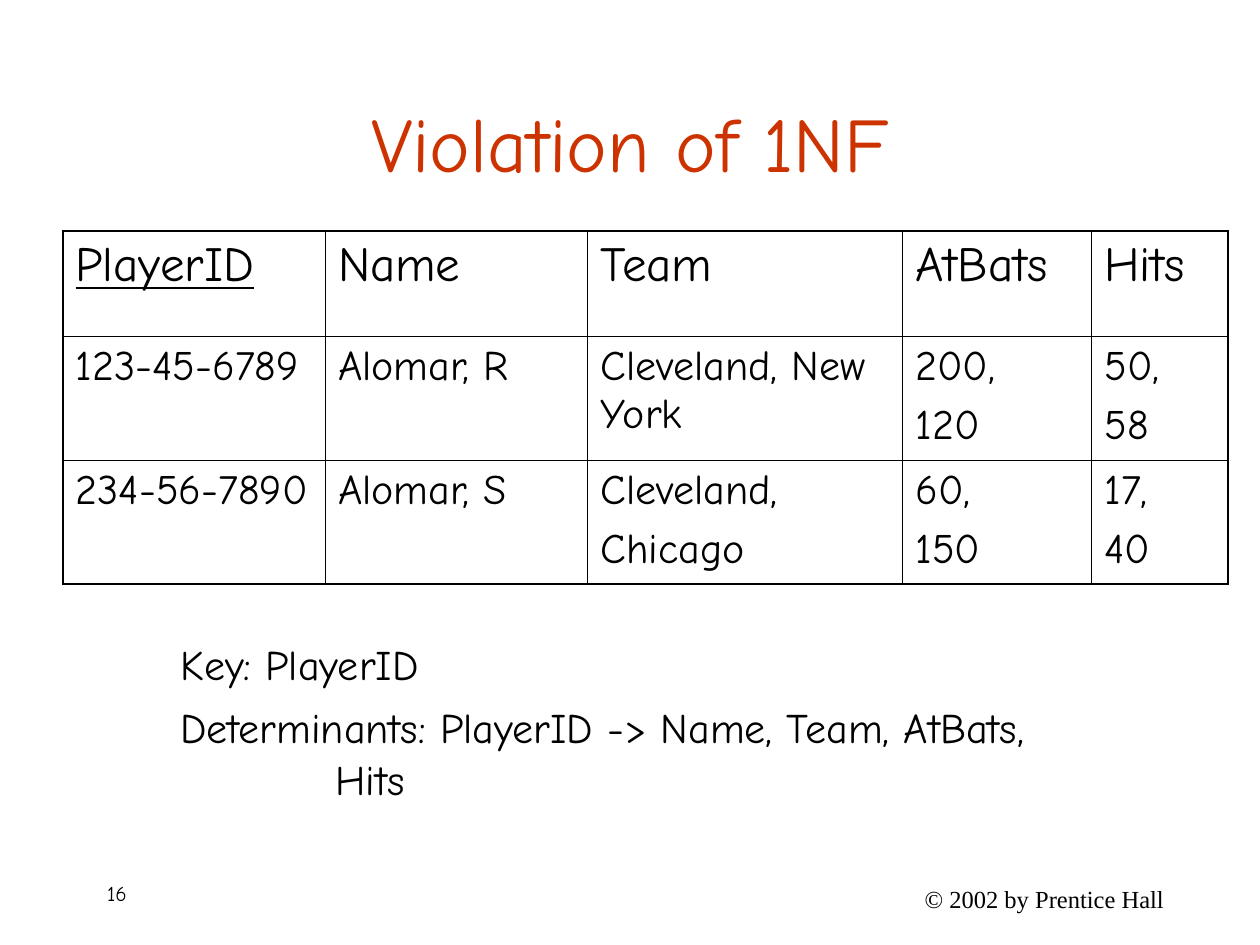
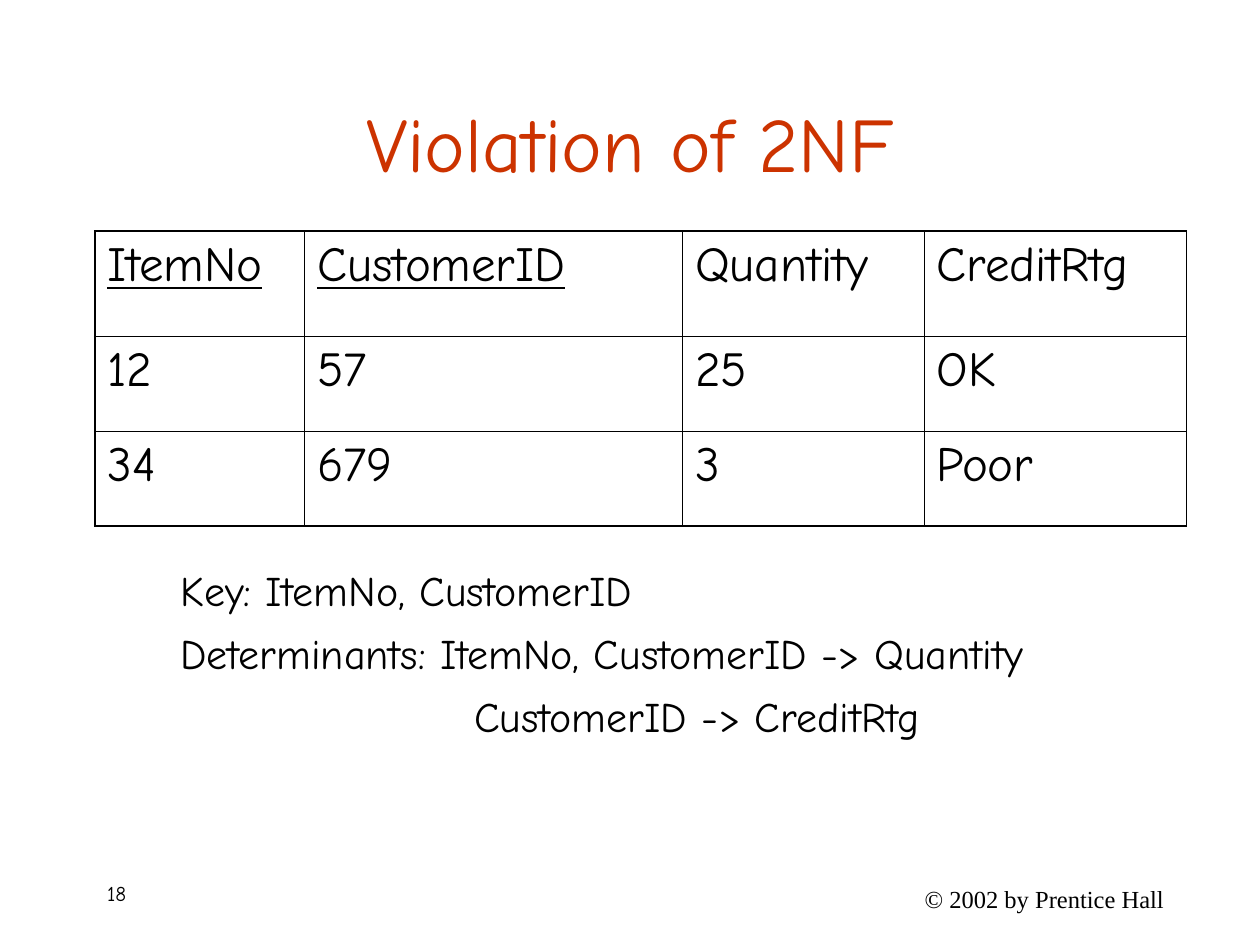
from lxml.etree import SubElement
from pptx import Presentation
from pptx.dml.color import RGBColor
from pptx.enum.text import MSO_ANCHOR as Anchor, PP_ALIGN as Align
from pptx.oxml import parse_xml
from pptx.oxml.ns import nsdecls, qn
from pptx.util import Cm, Pt

BLACK = RGBColor(0x00, 0x00, 0x00)
RED = RGBColor(0xCC, 0x33, 0x00)
BODY_FONT = "Comic Neue"
FOOTER_FONT = "Times New Roman"
OUTER_LINE, INNER_LINE = Pt(1.08), Pt(0.45)
HEADER_SIZE = 28


def write(frame, lines, size=24, font=BODY_FONT, color=BLACK, align=Align.LEFT,
          underline=False, spacing=None, indents=()):
    """Fill a frame with one paragraph per line; indents holds (left, first line) in cm."""
    frame.word_wrap = True
    frame.margin_left = frame.margin_right = Cm(0.25)
    frame.margin_top = frame.margin_bottom = Cm(0.13)
    for index, line in enumerate(lines):
        paragraph = frame.paragraphs[0] if index == 0 else frame.add_paragraph()
        paragraph.text = line
        paragraph.alignment = align
        paragraph.space_before = Pt(6 if index else 0)
        if spacing:
            paragraph.line_spacing = spacing
        if indents:
            left, first = indents[index]
            properties = paragraph._p.get_or_add_pPr()
            properties.set("marL", str(Cm(left)))
            properties.set("indent", str(Cm(first)))
        for run in paragraph.runs:
            run.font.name = font
            run.font.size = Pt(size)
            run.font.color.rgb = color
            run.font.underline = underline


def set_borders(cell, widths):
    """Draw the left, right, top and bottom border of a cell, in that order."""
    properties = cell._tc.get_or_add_tcPr()
    for index, (side, width) in enumerate(zip("LRTB", widths)):
        line = parse_xml(f'<a:ln{side} {nsdecls("a")} w="{width}"/>')
        fill = SubElement(line, qn("a:solidFill"))
        SubElement(fill, qn("a:srgbClr")).set("val", str(BLACK))
        properties.insert(index, line)


class Deck:
    """The presentation, its shared style and the slide being built."""

    def __init__(self):
        self.presentation = Presentation()
        self.presentation.slide_width = Cm(25.4)
        self.presentation.slide_height = Cm(19.05)
        self.slide = None

    def add_slide(self, title, number):
        self.slide = self.presentation.slides.add_slide(self.presentation.slide_layouts[6])
        self.add_text(15.67, 17.7, 8.05, 0.75, ["© 2002 by Prentice Hall"],
                      size=14, font=FOOTER_FONT, align=Align.RIGHT)
        self.add_text(1.91, 17.62, 5.28, 0.75, [str(number)], size=12)
        self.add_text(1.91, 1.27, 21.59, 3.18, [title], anchor=Anchor.MIDDLE,
                      size=44, color=RED, align=Align.CENTER)

    def add_text(self, left, top, width, height, lines, anchor=Anchor.TOP, **style):
        box = self.slide.shapes.add_textbox(Cm(left), Cm(top), Cm(width), Cm(height))
        box.text_frame.vertical_anchor = anchor
        write(box.text_frame, lines, **style)

    def add_notes(self, top, height, lines, indents):
        self.add_text(0.85, top, 22.86, height, lines, spacing=1.04, indents=indents)

    def add_table(self, left, widths, heights, rows, keys, size):
        """Add a ruled table whose key columns have an underlined heading."""
        last_row, last_column = len(rows) - 1, len(widths) - 1
        table = self.slide.shapes.add_table(
            len(rows), len(widths), Cm(left), Cm(4.66),
            Cm(sum(widths)), Cm(sum(heights))).table
        table.first_row = table.horz_banding = False
        for column, width in zip(table.columns, widths):
            column.width = Cm(width)
        for row_index, values in enumerate(rows):
            table.rows[row_index].height = Cm(heights[row_index])
            is_header = row_index == 0
            for column_index, value in enumerate(values):
                cell = table.cell(row_index, column_index)
                write(cell.text_frame, value.split("\n"),
                      size=HEADER_SIZE if is_header else size,
                      underline=is_header and value in keys)
                cell.fill.background()
                on_edge = (column_index == 0, column_index == last_column,
                           is_header, row_index == last_row)
                set_borders(cell, [OUTER_LINE if edge else INNER_LINE for edge in on_edge])


def main():
    deck = Deck()

    deck.add_slide("Violation of 1NF", 16)
    deck.add_table(1.27, [5.29, 5.29, 6.35, 3.81, 2.75], [2.12, 2.48, 2.48], [
        ["PlayerID", "Name", "Team", "AtBats", "Hits"],
        ["123-45-6789", "Alomar, R", "Cleveland, New York", "200,\n120", "50,\n58"],
        ["234-56-7890", "Alomar, S", "Cleveland,\nChicago", "60,\n150", "17,\n40"],
    ], keys={"PlayerID"}, size=24)
    deck.add_notes(12.7, 3.6, [
        "Key: PlayerID",
        "Determinants: PlayerID -> Name, Team, AtBats,\vHits",
    ], indents=[(2.54, 0), (5.66, -3.12)])

    deck.add_slide("Violation of 2NF", 18)
    deck.add_table(1.91, [4.23, 7.62, 4.87, 5.29], [2.12, 1.91, 1.91], [
        ["ItemNo", "CustomerID", "Quantity", "CreditRtg"],
        ["12", "57", "25", "OK"],
        ["34", "679", "3", "Poor"],
    ], keys={"ItemNo", "CustomerID"}, size=28)
    deck.add_notes(11.22, 5.5, [
        "Key: ItemNo, CustomerID",
        "Determinants: ItemNo, CustomerID -> Quantity",
        "CustomerID -> CreditRtg",
    ], indents=[(2.54, 0), (2.54, 0), (8.46, 0)])

    deck.presentation.save("out.pptx")


if __name__ == "__main__":
    main()
